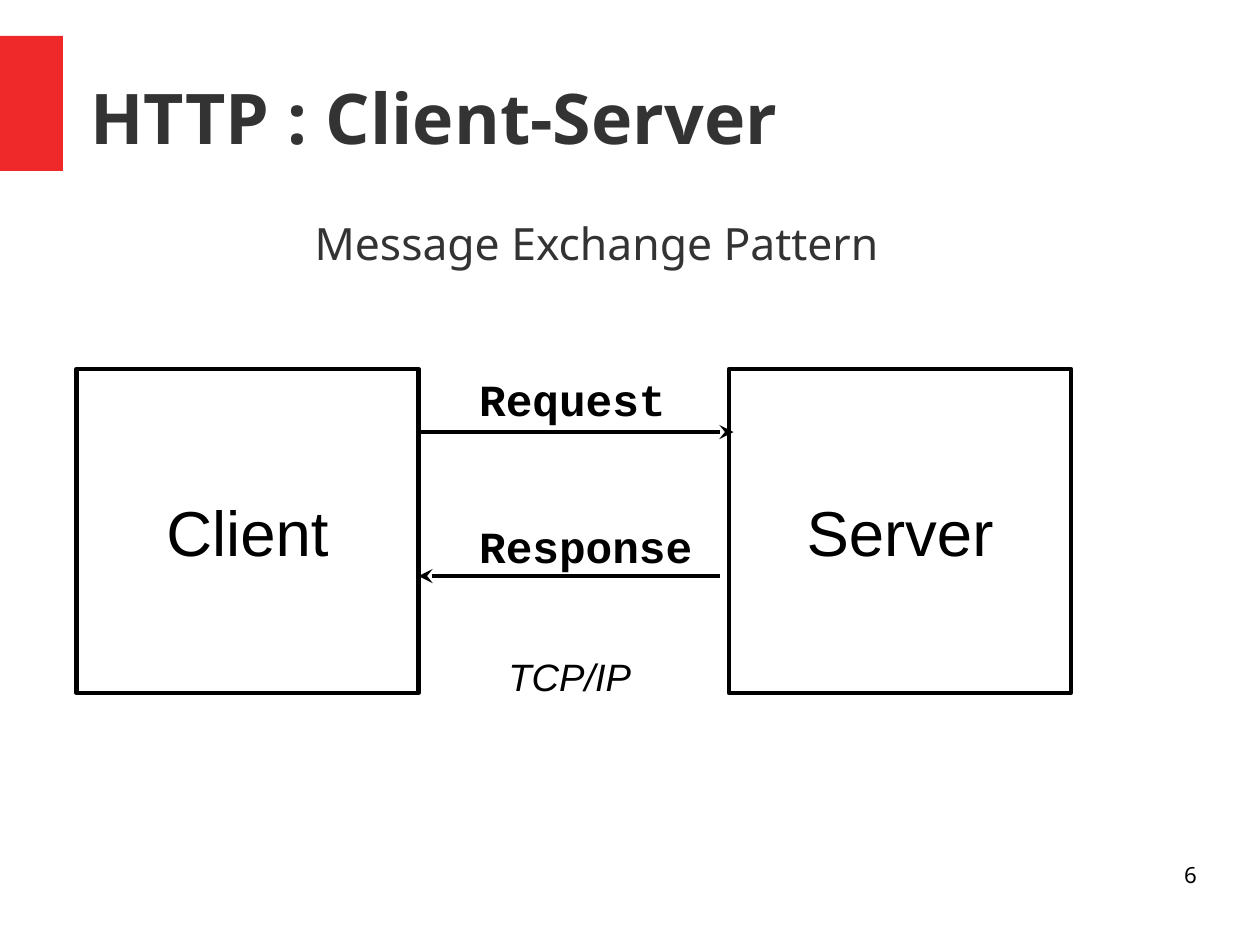
import pptx
import pptx.util
import pptx.dml.color
import pptx.enum.shapes
import pptx.enum.text
import pptx.oxml.ns
import lxml.etree

COLUMNS, ROWS = 28, 21
SLIDE_WIDTH = pptx.util.Cm(COLUMNS)
SLIDE_HEIGHT = pptx.util.Cm(ROWS)
COLORS = {"accent": "EF2929", "heading": "333333", "ink": "000000"}
ALIGN = pptx.enum.text.PP_ALIGN
ANCHOR = pptx.enum.text.MSO_ANCHOR
RECTANGLE = pptx.enum.shapes.MSO_SHAPE.RECTANGLE


def rgb(name):
    return pptx.dml.color.RGBColor.from_string(COLORS[name])


def grid(column, row):
    return round(SLIDE_WIDTH * column / COLUMNS), round(SLIDE_HEIGHT * row / ROWS)


def area(column, row, columns, rows):
    return (*grid(column, row), *grid(columns, rows))


def write(holder, text, size, font="Arial", color="ink", bold=False, italic=False,
          align=ALIGN.LEFT, anchor=ANCHOR.TOP, margins=(0, 0), wrap=True):
    frame = holder.text_frame
    frame.auto_size = pptx.enum.text.MSO_AUTO_SIZE.NONE
    frame.word_wrap = wrap
    frame.vertical_anchor = anchor
    frame.margin_left = frame.margin_right = pptx.util.Inches(margins[0])
    frame.margin_top = frame.margin_bottom = pptx.util.Inches(margins[1])
    paragraph = frame.paragraphs[0]
    paragraph.alignment = align
    paragraph.space_before = pptx.util.Pt(0)
    run = paragraph.add_run()
    run.text = text
    run.font.size = pptx.util.Pt(size)
    run.font.name = font
    run.font.color.rgb = rgb(color)
    run.font.bold = bold
    run.font.italic = italic
    return paragraph


def place(holder, *cells):
    holder.left, holder.top, holder.width, holder.height = area(*cells)


def add_heading(slide, text):
    place(slide.shapes.title, 2, 0.84, 24.6, 3.5)
    write(slide.shapes.title, text, 44, "Noto Sans", "heading", bold=True,
          anchor=ANCHOR.MIDDLE)


def add_subject(slide, text):
    subject = slide.placeholders[1]
    place(subject, 5.8, 4.8, 15.6, 1.4)
    paragraph = write(subject, text, 28, "Noto Sans", "heading")
    paragraph.space_after = pptx.util.Pt(14.1)
    properties = paragraph._p.get_or_add_pPr()
    properties.set("marL", str(pptx.util.Inches(0.47)))
    properties.set("indent", "0")
    lxml.etree.SubElement(properties, pptx.oxml.ns.qn("a:buNone"))


def add_accent(slide):
    accent = slide.shapes.add_shape(RECTANGLE, *area(0, 0.8, 1.4, 3))
    accent.shadow.inherit = False
    accent.fill.solid()
    accent.fill.fore_color.rgb = rgb("accent")
    accent.line.fill.background()


def add_peer(slide, text, column):
    peer = slide.shapes.add_shape(RECTANGLE, *area(column, 8.2, 7.6, 7.2))
    peer.shadow.inherit = False
    peer.fill.background()
    peer.line.color.rgb = rgb("ink")
    peer.line.width = pptx.util.Pt(2.83)
    write(peer, text, 40, align=ALIGN.CENTER, anchor=ANCHOR.MIDDLE,
          margins=(0.12, 0.07), wrap=False)


def add_label(slide, text, cells, size, **style):
    label = slide.shapes.add_textbox(*area(*cells))
    write(label, text, size, **style)


def add_message(slide, text, label_row, start, end, arrow_row):
    arrow = slide.shapes.add_connector(
        pptx.enum.shapes.MSO_CONNECTOR.STRAIGHT,
        *grid(start, arrow_row), *grid(end, arrow_row))
    arrow.line.color.rgb = rgb("ink")
    arrow.line.width = pptx.util.Pt(3)
    head = lxml.etree.SubElement(arrow.line._get_or_add_ln(),
                                 pptx.oxml.ns.qn("a:tailEnd"))
    head.set("type", "stealth")
    lxml.etree.SubElement(arrow._element.spPr, pptx.oxml.ns.qn("a:effectLst"))
    add_label(slide, text, (10.4, label_row, 5.4, 1.25), 28,
              font="Courier New", bold=True, margins=(0.1, 0.05))


def main():
    deck = pptx.Presentation()
    deck.slide_width = SLIDE_WIDTH
    deck.slide_height = SLIDE_HEIGHT
    slide = deck.slides.add_slide(deck.slide_layouts[1])
    add_accent(slide)
    add_heading(slide, "HTTP : Client-Server")
    add_subject(slide, "Message Exchange Pattern")
    add_peer(slide, "Client", 1.7)
    add_peer(slide, "Server", 16.2)
    add_message(slide, "Request", 8.15, 9.3, 16.3, 9.6)
    add_message(slide, "Response", 11.4, 16, 9.3, 12.8)
    add_label(slide, "TCP/IP", (11.05, 14.4, 3.6, 2.1), 24,
              italic=True, margins=(0.1, 0.05))
    add_label(slide, "6", (20.07, 19.13, 6.53, 1.45), 14,
              font="Noto Sans", align=ALIGN.RIGHT)
    deck.save("out.pptx")


if __name__ == "__main__":
    main()
